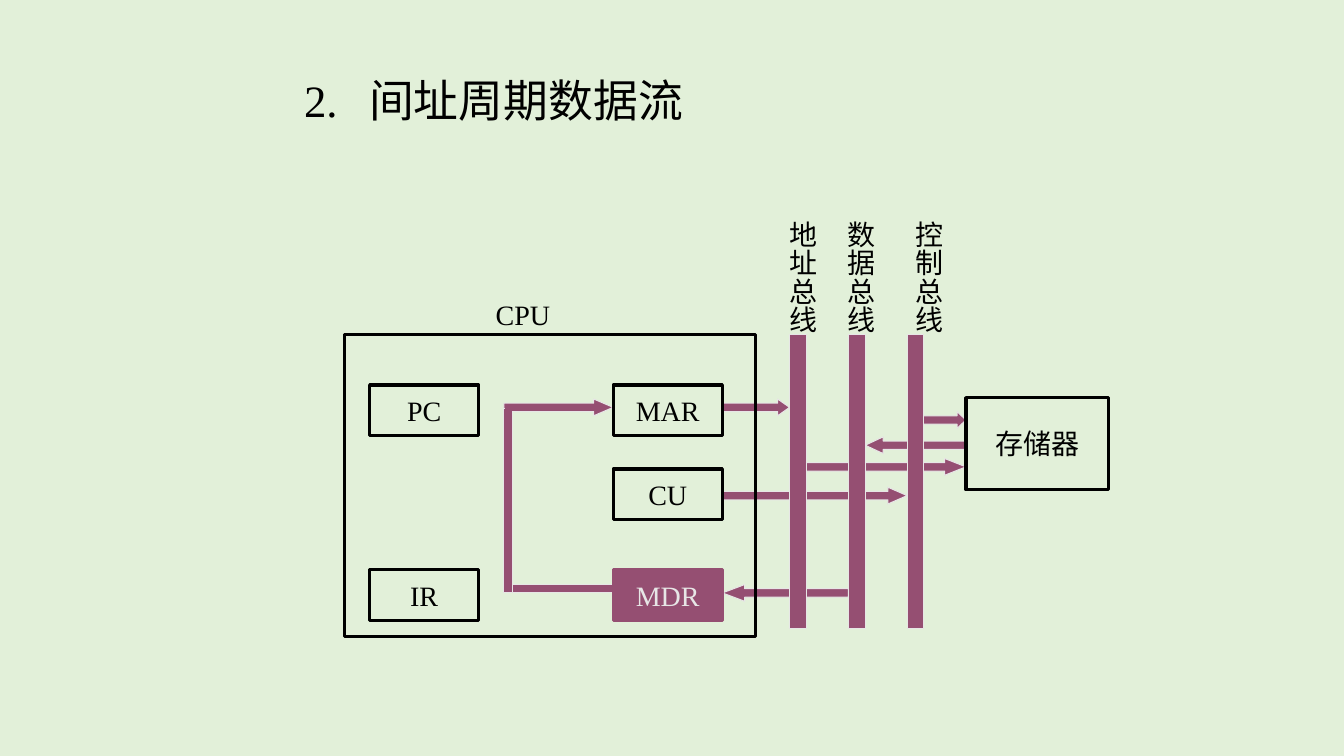
from lxml.etree import SubElement as Sub
from pptx import Presentation
from pptx.dml.color import RGBColor as RGB
from pptx.enum.shapes import MSO_SHAPE as Form
from pptx.enum.text import MSO_ANCHOR as Anchor, MSO_AUTO_SIZE as Fit, PP_ALIGN as Align
from pptx.oxml.ns import qn
from pptx.util import Pt

BLACK, PALE, PLUM, MINT = "000000", "E7E6E6", "954F72", "E2F0D9"


def paint(fill, hue):
    if hue:
        fill.solid()
        fill.fore_color.rgb = RGB.from_string(hue)
    else:
        fill.background()


def write(frame, text, size=20, hue=BLACK, align=Align.LEFT, anchor=Anchor.TOP,
          wrap=False, fit=Fit.NONE, vert=None, tab=None):
    frame.word_wrap = wrap
    frame.auto_size = fit
    frame.vertical_anchor = anchor
    if vert:
        frame._txBody.bodyPr.set("vert", vert)
    para = frame.paragraphs[0]
    para.alignment = align
    if tab:
        stops = Sub(para._p.get_or_add_pPr(), qn("a:tabLst"))
        Sub(stops, qn("a:tab"), pos=str(Pt(tab)), algn="l")
    run = para.add_run()
    run.text = text
    run.font.size = Pt(size)
    run.font.name = "Times New Roman"
    paint(run.font.fill, hue)


class Board:
    """Draws the parts of a data flow diagram on one slide."""

    def __init__(self, deck):
        self.slide = deck.slides.add_slide(deck.slide_layouts[5])
        paint(self.slide.background.fill, MINT)

    def title(self, text, x, y, w, h):
        head = self.slide.shapes.title
        head.left, head.top, head.width, head.height = Pt(x), Pt(y), Pt(w), Pt(h)
        write(head.text_frame, text, size=32, wrap=True, tab=46.5)

    def shape(self, form, x, y, w, h, fill=PLUM, line=PALE, width=0.75):
        item = self.slide.shapes.add_shape(form, Pt(x), Pt(y), Pt(w), Pt(h))
        item.shadow.inherit = False
        paint(item.fill, fill)
        paint(item.line.fill, line)
        item.line.width = Pt(width)
        return item

    def bar(self, x, y, w, h, line=PALE):
        self.shape(Form.RECTANGLE, x, y, w, h, line=line)

    def arrow(self, x, y, w, tip, turn=0):
        item = self.shape(Form.RIGHT_ARROW, x, y, w, 12)
        item.adjustments[1] = tip
        item.rotation = turn

    def box(self, x, y, w, h, text=None, fill=None, line=BLACK, hue=BLACK):
        item = self.shape(Form.RECTANGLE, x, y, w, h, fill, line, 2.25)
        if text:
            write(item.text_frame, text, hue=hue, align=Align.CENTER, anchor=Anchor.MIDDLE)

    def label(self, text, x, y, w, h, vert=None):
        item = self.slide.shapes.add_textbox(Pt(x), Pt(y), Pt(w), Pt(h))
        write(item.text_frame, text, fit=Fit.SHAPE_TO_FIT_TEXT, vert=vert)


def main():
    deck = Presentation()
    deck.slide_width, deck.slide_height = Pt(960), Pt(540)
    board = Board(deck)
    board.title("2.\t间址周期数据流", 210, 48, 450, 45)

    for x, y, w, tip, turn in [
        (618, 312, 72, 1.07, 180),
        (516, 348, 132, 1.15, 0),
        (516, 285, 48, 0.71, 0),
        (576, 327.5, 114, 1.27, 0),
        (516, 417.5, 90, 1.33, 180),
        (360, 285, 78, 1.16, 0),
        (654, 294, 36, 0.53, 0),
    ]:
        board.arrow(x, y, w, tip, turn)

    board.bar(360, 417.5, 78, 6)
    board.bar(360, 291.5, 6, 132)
    board.bar(361.5, 418.5, 4, 4, line=PLUM)
    board.bar(361, 289, 10, 4, line=PLUM)

    for x, side, name in [(564, 549.5, "地址总线"), (606, 591, "数据总线"), (648, 639.5, "控制总线")]:
        board.bar(x, 239, 12, 210)
        board.label(name, side, 151, 39, 87, vert="eaVert")

    board.box(246, 239, 294, 216)
    board.label("CPU", 347, 209, 55, 31)
    for name, x, y in [("PC", 264, 275), ("IR", 264, 407), ("MAR", 438, 275), ("CU", 438, 335)]:
        board.box(x, y, 78, 36, name)
    board.box(438, 407, 78, 36, "MDR", fill=PLUM, line=PLUM, hue=PALE)
    board.box(690, 284, 102, 66, "存储器")
    deck.save("out.pptx")


if __name__ == "__main__":
    main()
